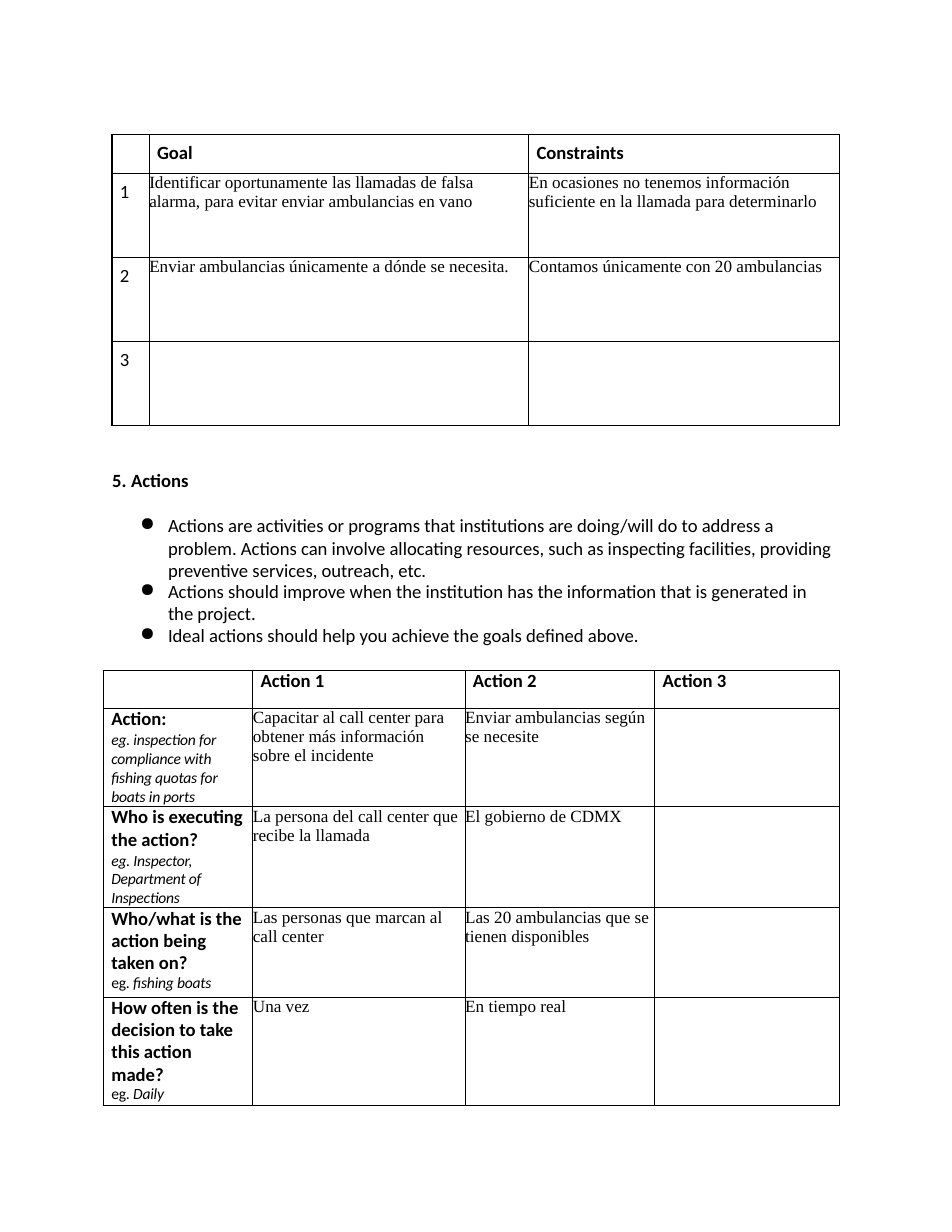
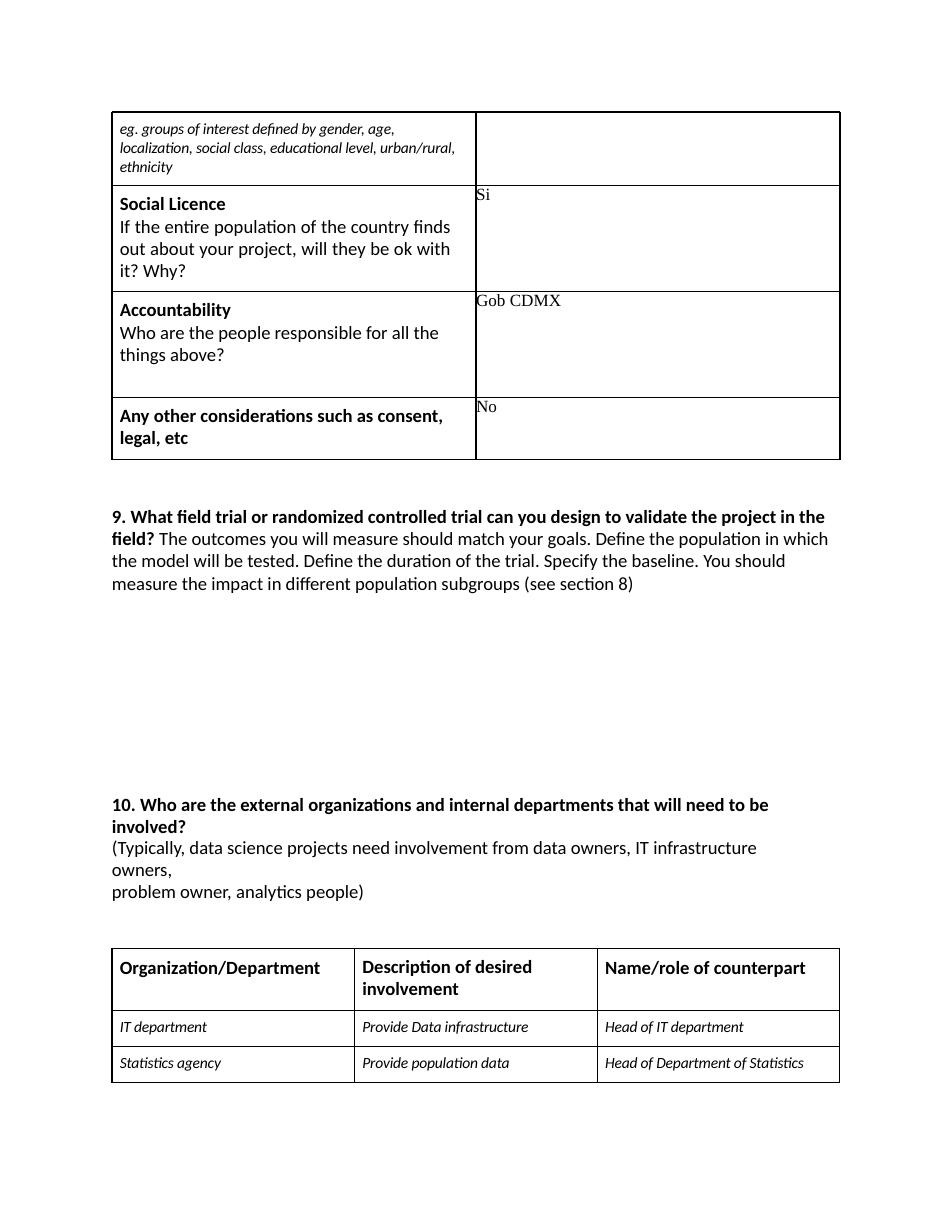
import pptx
import pptx.dml.color
import pptx.enum.text
import pptx.oxml.ns
import pptx.util
import lxml.etree

Pt = pptx.util.Pt
qn = pptx.oxml.ns.qn
BLACK = pptx.dml.color.RGBColor(0, 0, 0)
JUSTIFY = pptx.enum.text.PP_ALIGN.JUSTIFY

# Text styles: font, size, bold, italic, letter spacing in hundredths of a point
STYLES = {
    "bold": ("Calibri", 12, True, False, 0),
    "body": ("Calibri", 12, False, False, 0),
    "hint": ("Calibri", 10, False, True, -10),
    "eg": ("Calibri", 10, False, False, -10),
    "answer": ("Times New Roman", 11, False, False, 0),
}
LEADING = 14.3
INSET = 5
INDENT = 5


def fill_frame(frame, paragraphs):
    """Write paragraphs, each a pair of format settings and styled spans."""
    for number, (settings, spans) in enumerate(paragraphs):
        para = frame.paragraphs[0] if number == 0 else frame.add_paragraph()
        para.space_before = Pt(settings.get("before", 0))
        if "line" in settings:
            para.line_spacing = Pt(settings["line"])
        if "align" in settings:
            para.alignment = settings["align"]
        props = para._p.get_or_add_pPr()
        for key, default in (("marL", 0), ("marR", 0), ("indent", 0)):
            props.set(key, str(Pt(settings.get(key, default))))
        if "bullet" in settings:
            bullet = lxml.etree.SubElement(props, qn("a:buChar"))
            bullet.set("char", settings["bullet"])
        if "start" in settings:
            bullet = lxml.etree.SubElement(props, qn("a:buAutoNum"))
            bullet.set("type", "arabicPeriod")
            bullet.set("startAt", str(settings["start"]))
        for style, text in spans:
            name, size, bold, italic, spacing = STYLES[style]
            span = para.add_run()
            span.text = text
            span.font.name = name
            span.font.size = Pt(size)
            span.font.bold = bold
            span.font.italic = italic
            span.font.color.rgb = BLACK
            if spacing:
                span._r.get_or_add_rPr().set("spc", str(spacing))


def add_grid(page, left, top, widths, heights, rows):
    """Add a ruled table; a cell is None, an answer or (top inset, paragraphs)."""
    table = page.shapes.add_table(len(heights), len(widths), Pt(left), Pt(top),
                                  Pt(sum(widths)), Pt(sum(heights))).table
    table.first_row = table.horz_banding = False
    for column, width in zip(table.columns, widths):
        column.width = Pt(width)
    for row, height, contents in zip(table.rows, heights, rows):
        row.height = Pt(height)
        for cell, content in zip(row.cells, contents):
            inset = 0
            if content is None:
                end = lxml.etree.SubElement(cell.text_frame.paragraphs[0]._p,
                                            qn("a:endParaRPr"))
                end.set("sz", "1100")
            elif isinstance(content, str):
                fill_frame(cell.text_frame, [({"marR": 3}, [("answer", content)])])
            else:
                inset, paragraphs = content
                fill_frame(cell.text_frame, [
                    ({"marL": INDENT, "marR": INDENT, **settings}, spans)
                    for settings, spans in paragraphs])
            cell.margin_left = cell.margin_right = cell.margin_bottom = 0
            cell.margin_top = Pt(inset)
            props = cell._tc.get_or_add_tcPr()
            for side in ("a:lnL", "a:lnR", "a:lnT", "a:lnB"):
                line = lxml.etree.SubElement(props, qn(side))
                line.set("w", str(Pt(0.75)))
                paint = lxml.etree.SubElement(line, qn("a:solidFill"))
                lxml.etree.SubElement(paint, qn("a:srgbClr")).set("val", str(BLACK))
            cell.fill.background()


deck = pptx.Presentation()
deck.slide_width = Pt(612)
deck.slide_height = Pt(792)
blank = deck.slide_layouts[6]
goals_page = deck.slides.add_slide(blank)
trial_page = deck.slides.add_slide(blank)

# Goals and constraints
goal_heads = [(INSET, [({"before": 4.8}, [("bold", head)])])
              for head in ("Goal", "Constraints")]
goal_rows = [[None, *goal_heads]]
goals = [
    ("Identificar oportunamente las llamadas de falsa alarma, para evitar enviar "
     "ambulancias en vano",
     "En ocasiones no tenemos información suficiente en la llamada para determinarlo"),
    ("Enviar ambulancias únicamente a dónde se necesita.",
     "Contamos únicamente con 20 ambulancias"),
    (None, None),
]
for number, (goal, constraint) in enumerate(goals, 1):
    label = (INSET, [({"before": 4.8}, [("body", str(number))])])
    goal_rows.append([label, goal, constraint])
add_grid(goals_page, 72, 86.4, [24, 244, 200], [25, 54, 54, 54], goal_rows)

# Actions table
action_rows = [[None] + [(0, [({"line": 14}, [("bold", f"Action {number}")])])
                         for number in (1, 2, 3)]]
actions = [
    ("Action:", {"before": 0.3},
     [("hint", "eg. inspection for compliance with fishing quotas for boats in ports")],
     "Capacitar al call center para obtener más información sobre el incidente",
     "Enviar ambulancias según se necesite"),
    ("Who is executing the action?", {"before": 0.2, "line": 12},
     [("hint", "eg. Inspector, Department of Inspections")],
     "La persona del call center que recibe la llamada", "El gobierno de CDMX"),
    ("Who/what is the action being taken on?", {"line": 11.8},
     [("eg", "eg. "), ("hint", "fishing boats")],
     "Las personas que marcan al call center",
     "Las 20 ambulancias que se tienen disponibles"),
    ("How often is the decision to take this action made?", {"line": 11.3},
     [("eg", "eg. "), ("hint", "Daily")],
     "Una vez", "En tiempo real"),
]
for question, hint_format, hint, first, second in actions:
    label = (0, [({"line": LEADING, "before": 0.1}, [("bold", question)]),
                 (hint_format, hint)])
    action_rows.append([label, first, second, None])
add_grid(goals_page, 66.6, 431, [96, 136.5, 122, 118.5],
         [24.5, 63, 65, 57.5, 69.5], action_rows)

# Considerations
consideration_rows = [[(INSET, [({"before": 5.3}, [
    ("hint", "eg. groups of interest defined by gender, age, localization, "
             "social class, educational level, urban/rural, ethnicity")])]), None]]
considerations = [
    ("Social Licence",
     "If the entire population of the country finds out about your project, "
     "will they be ok with it? Why?", {"align": JUSTIFY, "marR": 16}, "Si"),
    ("Accountability", "Who are the people responsible for all the things above?",
     {}, "Gob CDMX"),
    ("Any other considerations such as consent, legal, etc", None, {}, "No"),
]
for title, question, layout, answer in considerations:
    paragraphs = [({"line": LEADING, "before": 4.8, **layout}, [("bold", title)])]
    if question:
        paragraphs.append(({"line": LEADING, "before": 0.5, **layout},
                           [("body", question)]))
    consideration_rows.append([(INSET, paragraphs), answer])
add_grid(trial_page, 72, 72, [234, 234], [47.3, 68.1, 68.1, 39.8], consideration_rows)

# Organizations
organization_rows = [[
    (INSET, [({"before": 4.8}, [("bold", "Organization/Department")])]),
    (INSET, [({"before": 5.4, "line": LEADING},
              [("bold", "Description of desired involvement")])]),
    (INSET, [({"before": 4.8}, [("bold", "Name/role of counterpart")])]),
]]
for names in (
    ("IT department", "Provide Data infrastructure", "Head of IT department"),
    ("Statistics agency", "Provide population data",
     "Head of Department of Statistics"),
):
    organization_rows.append([(INSET, [({"before": 5.3}, [("hint", name)])])
                              for name in names])
add_grid(trial_page, 72, 609.8, [156] * 3, [39.7, 23.1, 23.1], organization_rows)

# Text sections
bullet = {"marL": 36.7, "indent": -18, "bullet": "●", "line": LEADING}
section = {"marL": 0.7, "line": LEADING}
sections = [
    (goals_page, 301, 467.3, 116, 0.7, [
        ({"marL": 13, "indent": -12.2, "before": 1, "start": 5}, [("bold", "Actions")]),
        ({**bullet, "before": 14.6}, [
            ("body", "Actions are activities or programs that institutions are "
                     "doing/will do to address a problem. Actions can involve "
                     "allocating resources, such as inspecting facilities, providing "
                     "preventive services, outreach, etc.")]),
        ({**bullet, "line": 13.6}, [
            ("body", "Actions should improve when the institution has the "
                     "information that is generated in")]),
        ({"marL": 36.7, "line": 14.2}, [("body", "the project.")]),
        (bullet, [("body", "Ideal actions should help you achieve the goals "
                           "defined above.")]),
    ]),
    (trial_page, 323.3, 468, 59, 1.4, [
        ({**section, "before": 1.6}, [
            ("bold", "9. What field trial or randomized controlled trial can you "
                     "design to validate the project in the field? "),
            ("body", "The outcomes you will measure should match your goals. Define "
                     "the population in which the model will be tested. Define the "
                     "duration of the trial. Specify the baseline. You should measure "
                     "the impact in different population subgroups (see section 8)")]),
    ]),
    (trial_page, 508.3, 463, 59, 1.4, [
        ({**section, "before": 1.6}, [
            ("bold", "10. Who are the external organizations and internal "
                     "departments that will need to be involved?")]),
        ({**section, "line": 13.7, "marR": 20}, [
            ("body", "(Typically, data science projects need involvement from data "
                     "owners, IT infrastructure owners,")]),
        (section, [("body", "problem owner, analytics people)")]),
    ]),
]
for page, top, width, height, inset, paragraphs in sections:
    box = page.shapes.add_textbox(Pt(71.3), Pt(top), Pt(width), Pt(height))
    frame = box.text_frame
    frame.word_wrap = True
    frame.margin_left = frame.margin_right = frame.margin_bottom = 0
    frame.margin_top = Pt(inset)
    fill_frame(frame, paragraphs)

deck.save("out.pptx")
